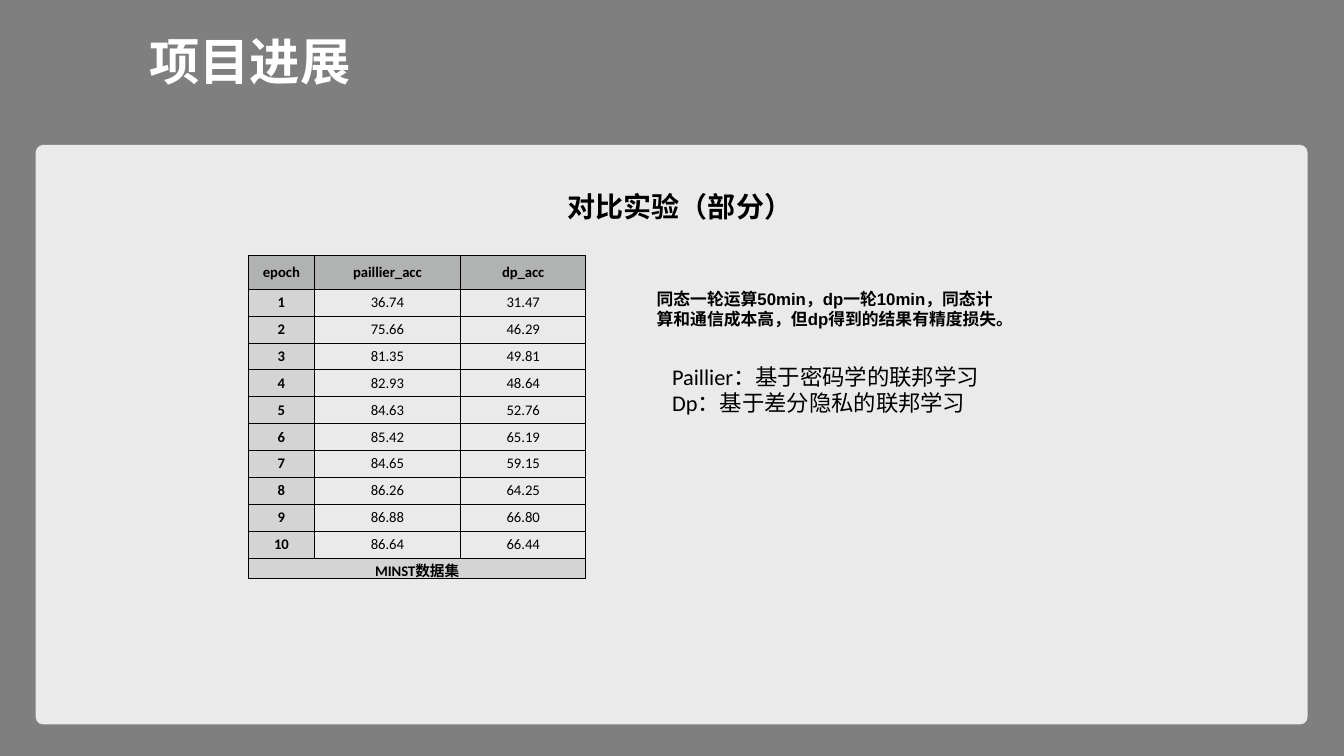
from pptx import Presentation
from pptx.dml.color import RGBColor
from pptx.enum.shapes import MSO_SHAPE
from pptx.enum.text import MSO_ANCHOR, PP_ALIGN
from pptx.oxml import parse_xml
from pptx.oxml.ns import nsdecls
from pptx.util import Pt

RECT, ROUND = MSO_SHAPE.RECTANGLE, MSO_SHAPE.ROUNDED_RECTANGLE
LEFT, CENTER = PP_ALIGN.LEFT, PP_ALIGN.CENTER
TOP, MIDDLE = MSO_ANCHOR.TOP, MSO_ANCHOR.MIDDLE
CJK = "Noto Sans CJK SC"


def paint(fill, color):
    fill.solid()
    fill.fore_color.rgb = RGBColor.from_string(color)


def write(frame, text, size, font, bold=False, align=LEFT, color="000000"):
    frame.text = text
    frame.word_wrap = True
    for para in frame.paragraphs:
        para.alignment = align
        for run in para.runs:
            run.font.size = Pt(size)
            run.font.bold = bold
            run.font.name = font
            paint(run.font.fill, color)
            run.font._element.append(
                parse_xml(f'<a:ea {nsdecls("a")} typeface="{CJK}"/>'))


deck = Presentation()
deck.slide_width, deck.slide_height = Pt(960), Pt(540)
slide = deck.slides.add_slide(deck.slide_layouts[6])
shapes = slide.shapes

# Dark backdrop and light panel, both partly transparent
for kind, box, color, alpha in [
    (RECT, (0, 0, 960, 540.5), "000000", 50),
    (ROUND, (25.5, 103.5, 908.5, 414), "FFFFFF", 84),
]:
    panel = shapes.add_shape(kind, *map(Pt, box))
    panel.shadow.inherit = False
    panel.line.fill.background()
    paint(panel.fill, color)
    tint = panel.fill._xPr.find(".//{*}srgbClr")
    tint.append(parse_xml(f'<a:alpha {nsdecls("a")} val="{alpha * 1000}"/>'))
    if kind == ROUND:
        panel.adjustments[0] = 0.013

# Title, heading and remarks
title = shapes.add_textbox(Pt(99.5), Pt(26.5), Pt(828), Pt(53.5)).text_frame
write(title, "项目进展", 36, CJK, True, color="FFFFFF")
title.paragraphs[0].line_spacing = 0.9
title.margin_top = 0

head = shapes.add_textbox(Pt(44), Pt(132), Pt(883.5), Pt(51)).text_frame
write(head, "对比实验（部分）", 20, "Calibri", True, CENTER)

cost = shapes.add_textbox(Pt(462), Pt(202.5), Pt(260.5), Pt(36)).text_frame
write(cost, "同态一轮运算50min，dp一轮10min，同态计算和通信成本高，"
      "但dp得到的结果有精度损失。", 12, "Arial", True)

terms = shapes.add_textbox(Pt(473), Pt(255.5), Pt(236), Pt(46)).text_frame
write(terms, "Paillier：基于密码学的联邦学习\nDp：基于差分隐私的联邦学习",
      16, "Calibri")

# Accuracy table
scores = [
    ("36.74", "31.47"), ("75.66", "46.29"), ("81.35", "49.81"),
    ("82.93", "48.64"), ("84.63", "52.76"), ("85.42", "65.19"),
    ("84.65", "59.15"), ("86.26", "64.25"), ("86.88", "66.80"),
    ("86.64", "66.44"),
]
rows = [("epoch", "paillier_acc", "dp_acc")]
rows += [(str(num), *pair) for num, pair in enumerate(scores, 1)]
rows += [("MINST数据集", "", "")]
last = len(rows) - 1

grid = shapes.add_table(len(rows), 3, Pt(177.5), Pt(182.5),
                        Pt(241), Pt(231)).table
grid.first_row = grid.horz_banding = False
for col, width in zip(grid.columns, (47, 104.5, 89.5)):
    col.width = Pt(width)
for r, row in enumerate(rows):
    grid.rows[r].height = Pt(24.2 if r == 0 else 14.4 if r == last else 19.2)
    for c, text in enumerate(row):
        cell = grid.cell(r, c)
        bold = r in (0, last) or c == 0
        write(cell.text_frame, text, 10.5, "Calibri", bold, CENTER)
        cell.vertical_anchor = MIDDLE
        cell.margin_left = cell.margin_right = Pt(0.75)
        cell.margin_top = cell.margin_bottom = Pt(0.75)
        props = cell._tc.get_or_add_tcPr()
        for side in "LRTB":
            props.append(parse_xml(
                f'<a:ln{side} {nsdecls("a")} w="{Pt(0.75)}"><a:solidFill>'
                f'<a:srgbClr val="000000"/></a:solidFill></a:ln{side}>'))
        if bold:
            paint(cell.fill, "B0B3B2" if r == 0 else "D4D4D4")
        else:
            cell.fill.background()
grid.cell(last, 0).merge(grid.cell(last, 2))

deck.save("out.pptx")
